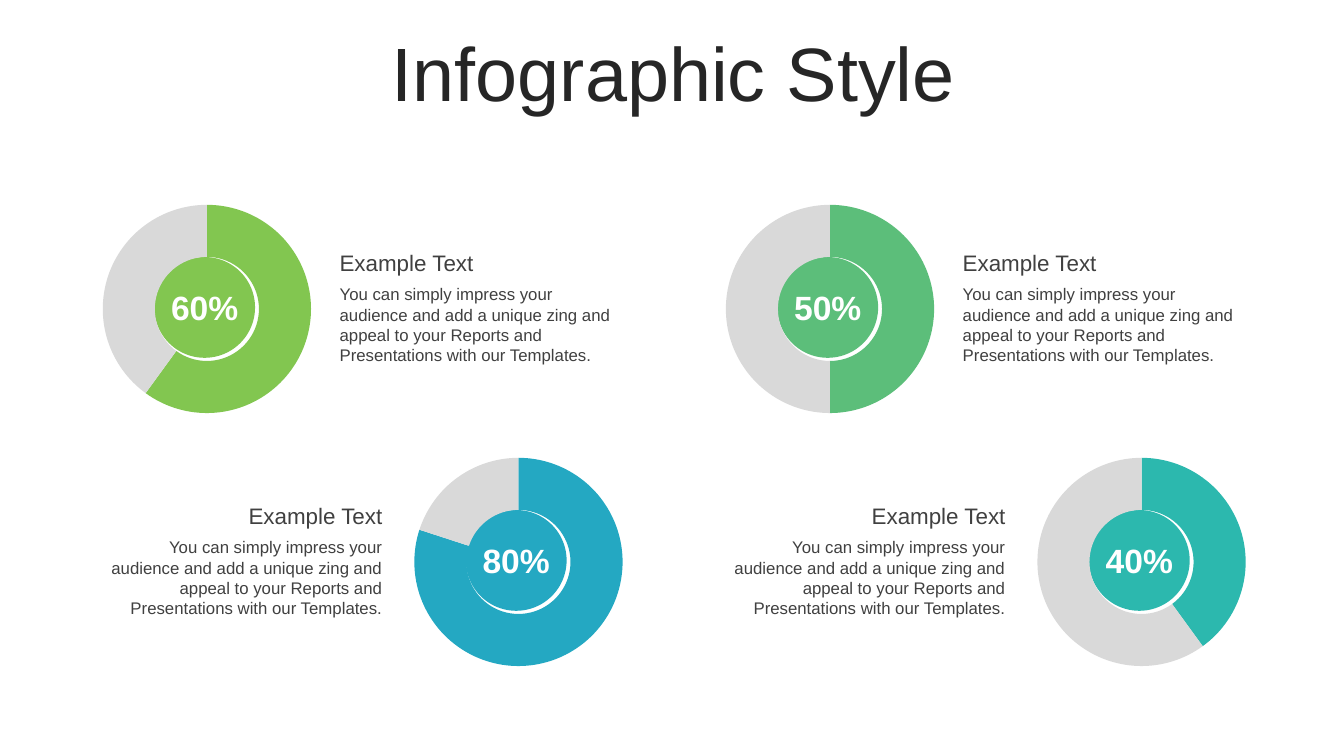
from lxml import etree
from pptx import Presentation
from pptx import util as u
from pptx.chart import data
from pptx.dml import color
from pptx.enum import chart as charts, shapes, text
from pptx.oxml import ns

GREY = "D9D9D9"
BODY = ("You can simply impress your audience and add a unique zing and "
        "appeal to your Reports and Presentations with our Templates.")
LEFT, MID, RIGHT = text.PP_ALIGN.LEFT, text.PP_ALIGN.CENTER, text.PP_ALIGN.RIGHT


def rgb(code):
    return color.RGBColor.from_string(code)


def box(x, y, w, h):
    return [u.Inches(n) for n in (x, y, w, h)]


def write(frame, words, size, tint, align, bold=False):
    frame.word_wrap = True
    para = frame.paragraphs[0]
    para.alignment = align
    run = para.add_run()
    run.text = words
    font = run.font
    font.name, font.size, font.bold = "Arial", u.Pt(size), bold
    font.color.rgb = rgb(tint)
    return para


def label(slide, area, words, size, tint, align, bold=False):
    frame = slide.shapes.add_textbox(*box(*area)).text_frame
    if bold:
        frame.vertical_anchor = text.MSO_ANCHOR.MIDDLE
    write(frame, words, size, tint, align, bold)


def heading(slide, area):
    title = slide.shapes.title
    title.left, title.top, title.width, title.height = box(*area)
    frame = title.text_frame
    frame.auto_size = text.MSO_AUTO_SIZE.NONE
    frame.vertical_anchor = text.MSO_ANCHOR.MIDDLE
    para = write(frame, "Infographic Style", 54, "262626", MID)
    para.line_spacing = 0.9


def clear(parent, place):
    props = etree.Element(ns.qn("c:spPr"))
    etree.SubElement(props, ns.qn("a:noFill"))
    line = etree.SubElement(props, ns.qn("a:ln"))
    etree.SubElement(line, ns.qn("a:noFill"))
    parent.insert(place, props)


def arrange(chart):
    root = chart.element
    body = root.find(ns.qn("c:chart"))
    area = body.find(ns.qn("c:plotArea"))
    for old in area.findall(ns.qn("c:layout")):
        area.remove(old)
    layout = etree.Element(ns.qn("c:layout"))
    manual = etree.SubElement(layout, ns.qn("c:manualLayout"))
    rules = dict(layoutTarget="inner", xMode="edge", yMode="edge",
                 x=0.05, y=0.02, w=0.92, h=0.97)
    for tag, value in rules.items():
        etree.SubElement(manual, ns.qn("c:" + tag)).set("val", str(value))
    area.insert(0, layout)
    clear(area, len(area))
    clear(root, root.index(body) + 1)
    area.find(".//" + ns.qn("c:holeSize")).set("val", "75")


def ring(slide, x, y, share, tint):
    values = data.CategoryChartData()
    values.categories = ["1", "2"]
    values.add_series("Series 1", (share, 100 - share))
    chart = slide.shapes.add_chart(
        charts.XL_CHART_TYPE.DOUGHNUT, *box(x, y, 2.26, 2.13), values).chart
    chart.has_title = chart.has_legend = False
    chart.font.name, chart.font.size = "Arial", u.Pt(18)
    chart.font.color.rgb = rgb("000000")
    plot = chart.plots[0]
    plot.has_data_labels = False
    plot.vary_by_categories = True
    for spot, code in enumerate((tint, GREY)):
        form = plot.series[0].points[spot].format
        form.fill.solid()
        form.fill.fore_color.rgb = rgb(code)
        form.line.fill.background()
    arrange(chart)


def gauge(slide, x, y, share, tint):
    badge = slide.shapes.add_shape(
        shapes.MSO_SHAPE.OVAL, *box(x + 0.63, y + 0.56, 1, 1))
    badge.shadow.inherit = False
    badge.fill.solid()
    badge.fill.fore_color.rgb = rgb(tint)
    badge.line.fill.background()
    label(slide, (x + 0.62, y + 0.81, 1.02, 0.5), f"{share}%", 24, "FFFFFF", MID, True)
    ring(slide, x, y, share, tint)


def caption(slide, x, y, align):
    label(slide, (x, y + 0.35, 2.99, 0.91), BODY, 12, "404040", align)
    label(slide, (x, y, 2.99, 0.37), "Example Text", 16, "404040", align)


def panel(slide, x, y, share, tint, flip):
    gauge(slide, x + (3.09 if flip else 0), y, share, tint)
    caption(slide, x + (0 if flip else 2.37), y + 0.43, RIGHT if flip else LEFT)


def main():
    deck = Presentation()
    deck.slide_width, deck.slide_height = u.Inches(13.33), u.Inches(7.5)
    slide = deck.slides.add_slide(deck.slide_layouts[5])
    heading(slide, (0.35, 0.37, 12.66, 0.79))
    stats = ((60, "82C650"), (50, "5CBE7A"), (80, "24A8C2"), (40, "2CB8AE"))
    for spot, (share, tint) in enumerate(stats):
        row, col = divmod(spot, 2)
        panel(slide, 0.9 + 6.18 * col, 1.99 + 2.51 * row, share, tint, row == 1)
    deck.save("out.pptx")


if __name__ == "__main__":
    main()
